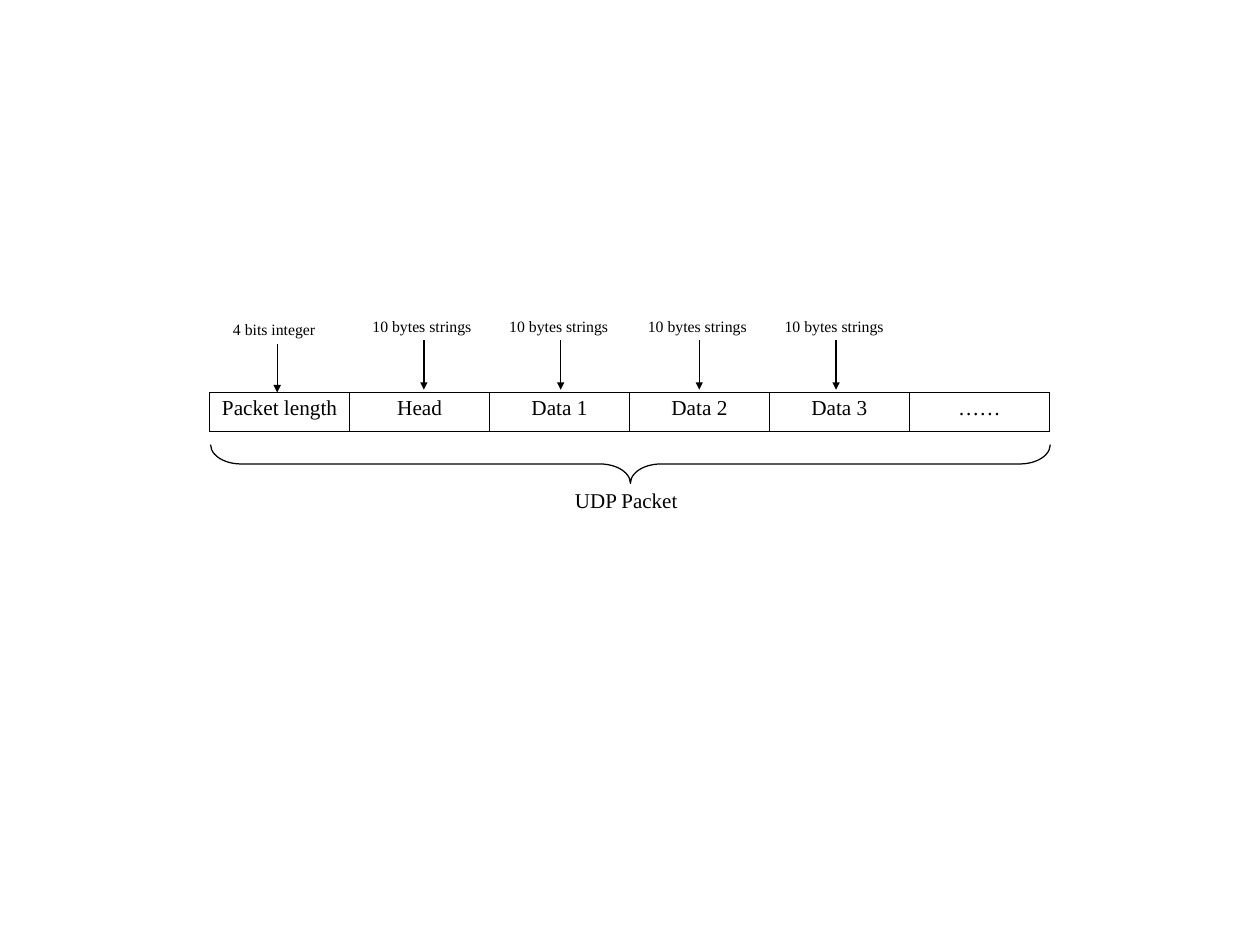
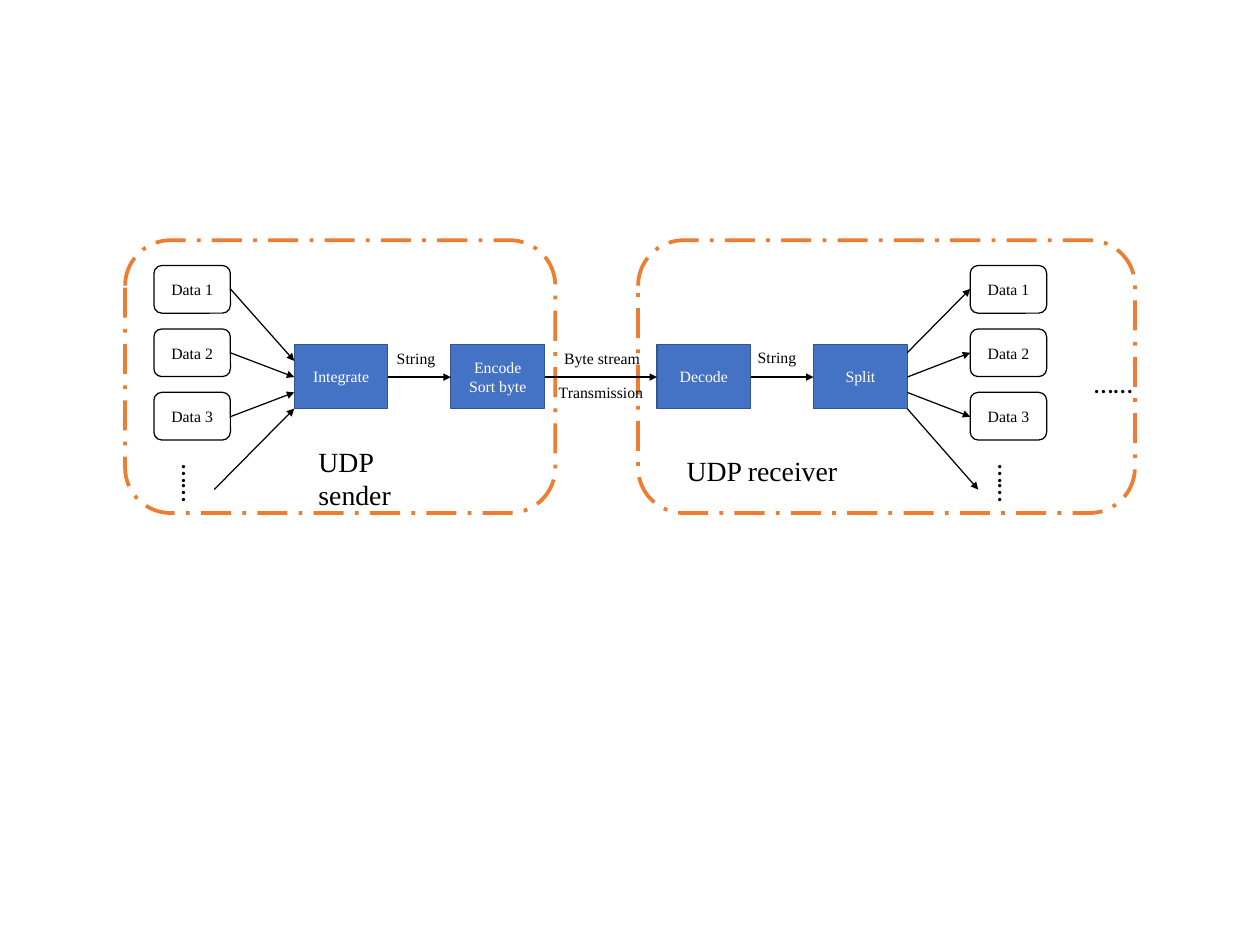
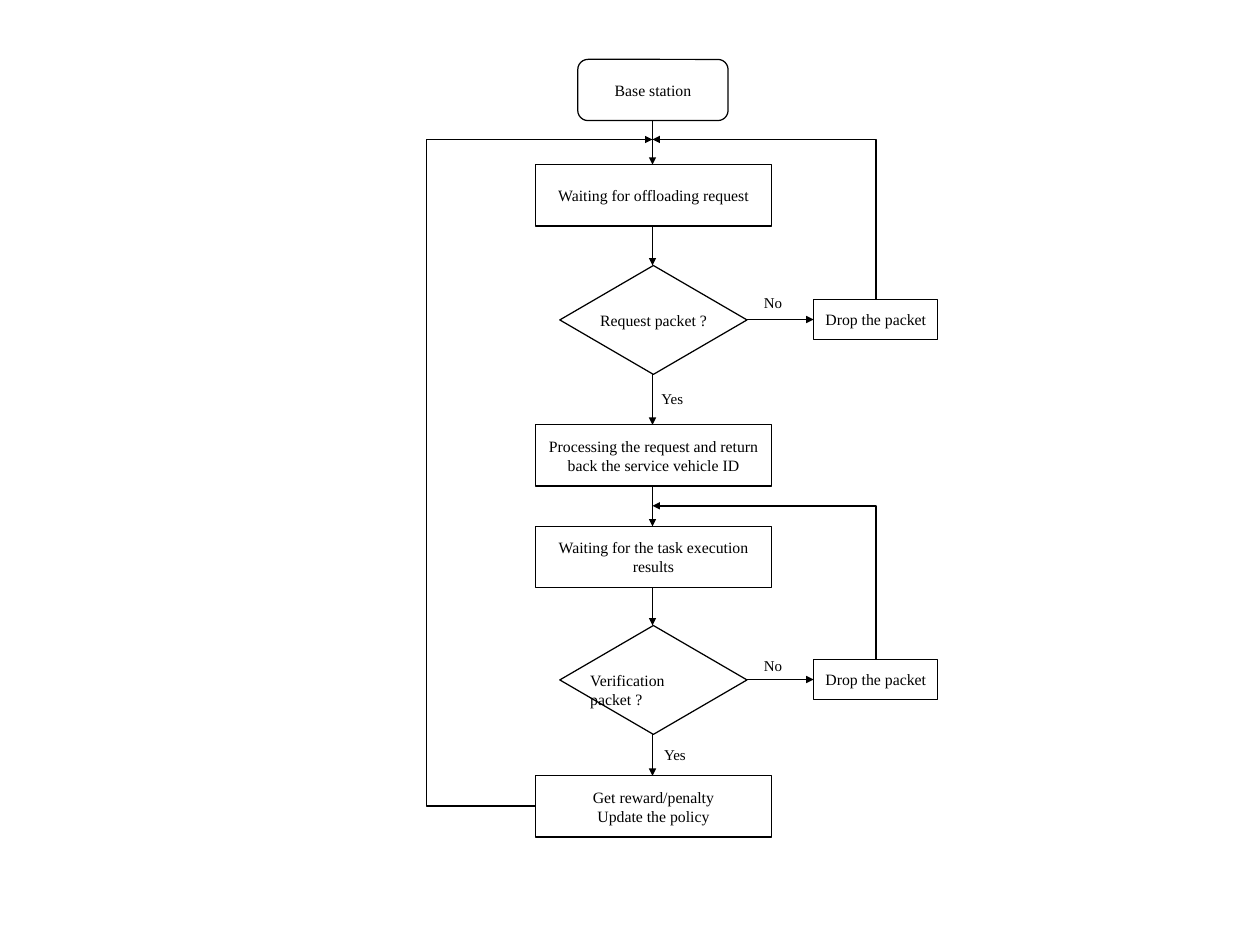
from dataclasses import dataclass

from lxml import etree
from pptx import Presentation
from pptx.dml.color import RGBColor
from pptx.enum.dml import MSO_LINE
from pptx.enum.shapes import MSO_CONNECTOR as Connector
from pptx.enum.shapes import MSO_SHAPE as Preset
from pptx.enum.text import MSO_ANCHOR, MSO_AUTO_SIZE, PP_ALIGN
from pptx.oxml.ns import qn
from pptx.util import Inches, Pt

BLACK, WHITE = "000000", "FFFFFF"
BLUE, DARK_BLUE, ORANGE = "4472C4", "325491", "ED7D31"
SERIF, SANS = "Times New Roman", "Calibri"
BODY, LABEL, HEADING = 12.6, 12, 22.2
Point = tuple[float, float]


@dataclass(frozen=True)
class Box:
    left: float
    top: float
    width: float
    height: float
    text: str = ""
    preset: Preset = Preset.FLOWCHART_PROCESS
    fill: str | None = WHITE
    line: str = BLACK
    font_color: str = BLACK
    weight: float = 1
    dash: MSO_LINE | None = None


@dataclass(frozen=True)
class Label:
    left: float
    top: float
    width: float
    height: float
    text: str
    size: float = BODY
    font: str = SERIF
    vertical: bool = False


def color(value: str) -> RGBColor:
    return RGBColor.from_string(value)


def inches(*values: float) -> list:
    return [Inches(value) for value in values]


def style_text(frame, text: str, size: float, font: str = SERIF,
               font_color: str = BLACK, align=PP_ALIGN.LEFT) -> None:
    frame.text = text
    for paragraph in frame.paragraphs:
        paragraph.alignment = align
        paragraph.font.size = Pt(size)
        paragraph.font.name = font
        paragraph.font.color.rgb = color(font_color)


def draw_box(slide, box: Box):
    shape = slide.shapes.add_shape(
        box.preset, *inches(box.left, box.top, box.width, box.height))
    shape.shadow.inherit = False
    if box.fill:
        shape.fill.solid()
        shape.fill.fore_color.rgb = color(box.fill)
    else:
        shape.fill.background()
    shape.line.color.rgb = color(box.line)
    shape.line.width = Pt(box.weight)
    if box.dash:
        shape.line.dash_style = box.dash
    if box.text:
        shape.text_frame.vertical_anchor = MSO_ANCHOR.MIDDLE
        style_text(shape.text_frame, box.text, BODY, SERIF, box.font_color, PP_ALIGN.CENTER)
    return shape


def draw_label(slide, label: Label) -> None:
    frame = slide.shapes.add_textbox(
        *inches(label.left, label.top, label.width, label.height)).text_frame
    frame.word_wrap = True
    frame.auto_size = MSO_AUTO_SIZE.SHAPE_TO_FIT_TEXT
    style_text(frame, label.text, label.size, label.font)
    if label.vertical:
        frame._txBody.find(qn("a:bodyPr")).set("vert", "eaVert")


def draw_arrow(slide, start: Point, end: Point, weight: float = 1,
               kind: Connector = Connector.STRAIGHT):
    connector = slide.shapes.add_connector(kind, *inches(*start, *end))
    connector.line.color.rgb = color(BLACK)
    connector.line.width = Pt(weight)
    etree.SubElement(connector.line._get_or_add_ln(), qn("a:tailEnd"), type="triangle")
    etree.SubElement(connector._element.spPr, qn("a:effectLst"))
    return connector


def bend(connector, preset: str, adjustments: tuple[int, ...] = (), **transform: str) -> None:
    properties = connector._element.spPr
    frame = properties.find(qn("a:xfrm"))
    for name in ("flipH", "flipV"):
        frame.attrib.pop(name, None)
    for name, value in transform.items():
        frame.set(name, value)
    geometry = properties.find(qn("a:prstGeom"))
    geometry.set("prst", preset)
    guides = geometry.find(qn("a:avLst"))
    for number, value in enumerate(adjustments, 1):
        etree.SubElement(guides, qn("a:gd"), name=f"adj{number}", fmla=f"val {value}")


def draw_up_left(slide, start: Point, end: Point) -> None:
    across, rise = start[0] - end[0], start[1] - end[1]
    center_x, center_y = (start[0] + end[0]) / 2, (start[1] + end[1]) / 2
    connector = draw_arrow(
        slide, (center_x - rise / 2, center_y - across / 2),
        (center_x + rise / 2, center_y + across / 2), 1.5, Connector.ELBOW)
    bend(connector, "bentConnector2", rot="16200000", flipV="1")


def draw_loop(slide, start: Point, end: Point, lane: float) -> None:
    connector = draw_arrow(slide, start, end, 1.5, Connector.ELBOW)
    reach = round((lane - start[0]) / (end[0] - start[0]) * 100000)
    bend(connector, "bentConnector4", (reach, 100000), rot="10800000", flipH="1")


def border_cell(cell) -> None:
    properties = cell._tc.get_or_add_tcPr()
    for position, side in enumerate(("lnL", "lnR", "lnT", "lnB")):
        line = etree.Element(qn(f"a:{side}"), w=str(Pt(1)))
        fill = etree.SubElement(line, qn("a:solidFill"))
        etree.SubElement(fill, qn("a:srgbClr"), val=BLACK)
        properties.insert(position, line)


def build_packet(slide) -> None:
    fields = ["Packet length", "Head", "Data 1", "Data 2", "Data 3", "……"]
    left, top, width, height = 2.33, 4.36, 9.33, 0.43
    table = slide.shapes.add_table(1, len(fields), *inches(left, top, width, height)).table
    table.first_row = table.horz_banding = False
    for index, text in enumerate(fields):
        table.columns[index].width = Inches(width / len(fields))
        cell = table.cell(0, index)
        cell.fill.solid()
        cell.fill.fore_color.rgb = color(WHITE)
        style_text(cell.text_frame, text, 17, align=PP_ALIGN.CENTER)
        border_cell(cell)

    draw_arrow(slide, (3.08, 3.82), (3.08, 4.36))
    draw_label(slide, Label(2.49, 3.5, 1.18, 0.31, "4 bits integer"))
    for x in (4.71, 6.23, 7.77, 9.29):
        draw_arrow(slide, (x, 3.78), (x, 4.33))
        draw_label(slide, Label(x - 0.67, 3.47, 1.34, 0.31, "10 bytes strings"))

    brace = draw_box(slide, Box(6.79, 0.49, height, width, preset=Preset.LEFT_BRACE, fill=None))
    brace.rotation = 270
    brace.adjustments[0] = 0.788
    draw_label(slide, Label(6.29, 5.37, 1.63, 0.38, "UDP Packet", 16.8))


def draw_data_column(slide, left: float) -> None:
    for index in range(3):
        draw_box(slide, Box(left, 2.95 + 0.705 * index, 0.85, 0.53,
                            f"Data {index + 1}", Preset.ROUNDED_RECTANGLE))
    draw_label(slide, Label(left + 0.09, 5.06, 0.58, 0.76, "……", HEADING, SANS, True))


def build_transmission(slide) -> None:
    for left, width in ((7.09, 5.52), (1.39, 4.78)):
        draw_box(slide, Box(left, 2.67, width, 3.03, preset=Preset.FLOWCHART_ALTERNATE_PROCESS,
                            line=ORANGE, weight=3, dash=MSO_LINE.LONG_DASH_DOT))
    steps = [(3.27, "Integrate"), (5.01, "Encode\nSort byte"), (7.3, "Decode"), (9.04, "Split")]
    for left, text in steps:
        draw_box(slide, Box(left, 3.83, 1.04, 0.71, text, Preset.RECTANGLE,
                            BLUE, DARK_BLUE, WHITE))
    for (left, _), (following, _) in zip(steps, steps[1:]):
        draw_arrow(slide, (left + 1.04, 4.19), (following, 4.19))

    draw_data_column(slide, 1.71)
    draw_data_column(slide, 10.78)
    data_heights = (3.21, 3.92, 4.63, 5.44)
    for x, y, port in zip((2.56, 2.56, 2.56, 2.38), data_heights, (4.01, 4.19, 4.36, 4.54)):
        draw_arrow(slide, (x, y), (3.27, port))
    for x, y, port in zip((10.78, 10.78, 10.78, 10.87), data_heights, (3.92, 4.19, 4.36, 4.54)):
        draw_arrow(slide, (10.08, port), (x, y))

    for label in (
        Label(12.06, 4.02, 1.01, 0.48, "……", HEADING, SANS),
        Label(4.31, 3.82, 0.71, 0.31, "String"),
        Label(6.17, 3.83, 1.13, 0.31, "Byte stream"),
        Label(6.11, 4.2, 1.25, 0.31, "Transmission"),
        Label(8.32, 3.81, 0.71, 0.31, "String"),
        Label(3.44, 4.89, 1.51, 0.85, "UDP sender", HEADING),
        Label(7.53, 4.99, 1.95, 0.48, "UDP receiver", HEADING),
    ):
        draw_label(slide, label)


def build_flowchart(slide) -> None:
    axis = 7.25
    draw_box(slide, Box(6.42, 0.66, 1.67, 0.68, "Base station", Preset.FLOWCHART_ALTERNATE_PROCESS))
    for top, text in (
        (1.83, "Waiting for offloading request"),
        (4.72, "Processing the request and return back the service vehicle ID"),
        (5.85, "Waiting for the task execution results"),
        (8.62, "Get reward/penalty\nUpdate the policy"),
    ):
        draw_box(slide, Box(5.95, top, 2.62, 0.68, text))

    for top, text_left, text, merge in (
        (2.95, 6.57, "Request packet ?", 1.55),
        (6.95, 6.46, "Verification packet ?", 5.62),
    ):
        draw_box(slide, Box(6.22, top, 2.08, 1.21, preset=Preset.FLOWCHART_DECISION))
        draw_label(slide, Label(text_left, top + 0.45, 1.62, 0.31, text))
        draw_box(slide, Box(9.04, top + 0.38, 1.38, 0.44, "Drop the packet"))
        draw_arrow(slide, (8.29, top + 0.6), (9.04, top + 0.6), 1.5)
        draw_up_left(slide, (9.73, top + 0.38), (axis, merge))

    for start, end in ((1.34, 1.83), (2.51, 2.95), (4.16, 4.72),
                       (5.4, 5.85), (6.53, 6.95), (8.16, 8.62)):
        draw_arrow(slide, (axis, start), (axis, end), 1.5)
    draw_loop(slide, (5.95, 8.96), (axis, 1.55), 4.74)

    for left, top, text in ((8.39, 3.21, "No"), (7.25, 4.28, "Yes"),
                            (8.39, 7.25, "No"), (7.28, 8.24, "Yes")):
        draw_label(slide, Label(left, top, 0.63, 0.3, text, LABEL))


def main() -> None:
    presentation = Presentation()
    presentation.slide_width, presentation.slide_height = inches(14, 10.5)
    for build in (build_packet, build_transmission, build_flowchart):
        build(presentation.slides.add_slide(presentation.slide_layouts[6]))
    presentation.save("out.pptx")


if __name__ == "__main__":
    main()
